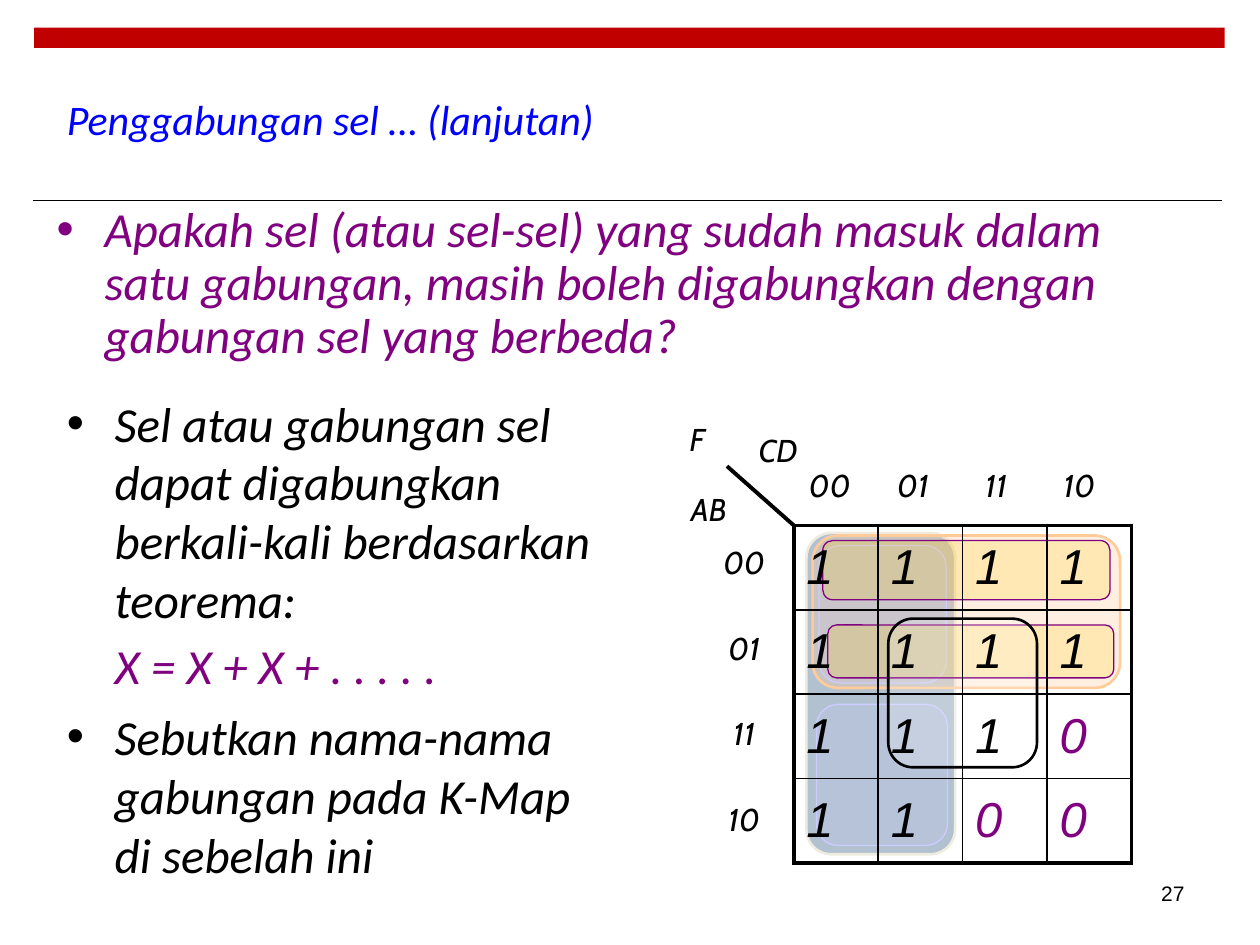
"""Build the slide on merging Karnaugh map cells."""
from lxml.etree import SubElement
from pptx import Presentation
from pptx.dml.color import RGBColor
from pptx.enum.shapes import MSO_CONNECTOR, MSO_SHAPE
from pptx.enum.text import MSO_ANCHOR, MSO_AUTO_SIZE, PP_ALIGN
from pptx.oxml import parse_xml
from pptx.oxml.ns import nsdecls, qn
from pptx.util import Inches, Pt

COLORS = {
    "black": "000000", "white": "FFFFFF", "red": "C00000", "blue": "0000FF",
    "purple": "800080", "navy": "003366", "cream": "EEECE1",
    "peach": "FFCC99", "lavender": "CCCCFF", "gold": "FFCC00",
}
TITLE = "Penggabungan sel … (lanjutan)"
QUESTION = [
    ("Apakah sel (atau sel-sel) yang sudah masuk dalam satu gabungan, masih boleh "
     "digabungkan dengan gabungan sel yang berbeda?", "purple", True, 0),
]
ANSWER = [
    ("Sel atau gabungan sel dapat digabungkan berkali-kali berdasarkan teorema:",
     "black", True, 0),
    ("X = X + X + . . . . .", "purple", False, 4),
    ("Sebutkan nama-nama gabungan pada K-Map di sebelah ini", "black", True, 7),
]
GRAY_CODE = ["00", "01", "11", "10"]
MAP_VALUES = ["1111", "1111", "1110", "1100"]
MAP_LEFT, MAP_TOP, CELL = 6.3, 4.17, 0.67
AXIS_NAMES = [("F", 5.31, 3.33), ("CD", 5.95, 3.42), ("AB", 5.4, 3.89)]
GROUPS = [
    ((6.4, 4.23, 1.18, 2.55), "navy", 30, "cream", 1.5),
    ((6.45, 4.25, 2.44, 1.21), "peach", 30, "peach", 1.5),
    ((6.48, 5.59, 1.04, 1.12), "lavender", 20, "lavender", 0.75),
    ((6.5, 4.33, 1.01, 1.09), "lavender", 20, "lavender", 0.75),
    ((6.57, 4.96, 2.27, 0.42), "gold", 20, "purple", 0.75),
    ((6.53, 4.29, 2.28, 0.47), "gold", 20, "purple", 0.75),
    ((7.05, 4.91, 1.18, 1.18), "white", 20, "black", 1.5),
]


def color(name):
    return RGBColor.from_string(COLORS[name])


def style(paragraph, size, font_name, color_name, italic=True):
    font = paragraph.font
    font.size, font.name, font.italic = Pt(size), font_name, italic
    font.color.rgb = color(color_name)


def place(shape, left, top, width, height):
    shape.left, shape.top = Inches(left), Inches(top)
    shape.width, shape.height = Inches(width), Inches(height)


def fill_list(placeholder, items, line_spacing):
    frame = placeholder.text_frame
    frame.auto_size = MSO_AUTO_SIZE.NONE
    for index, (text, color_name, bulleted, space) in enumerate(items):
        paragraph = frame.add_paragraph() if index else frame.paragraphs[0]
        paragraph.text = text
        paragraph.line_spacing = line_spacing
        paragraph.space_before = Pt(space)
        properties = paragraph._p.get_or_add_pPr()
        properties.set("marL", str(Inches(0.38)))
        properties.set("indent", str(Inches(-0.38 if bulleted else 0)))
        if bulleted:
            SubElement(properties, qn("a:buFont")).set("typeface", "Arial")
            SubElement(properties, qn("a:buChar")).set("char", "•")
        else:
            SubElement(properties, qn("a:buNone"))
        style(paragraph, 28, "Calibri", color_name)


def add_line(slide, start, end, width):
    line = slide.shapes.add_connector(
        MSO_CONNECTOR.STRAIGHT, *[Inches(value) for value in start + end])
    line.line.color.rgb = color("black")
    line.line.width = Pt(width)
    SubElement(line._element.spPr, qn("a:effectLst"))


def add_label(slide, text, left, top):
    box = slide.shapes.add_textbox(
        Inches(left), Inches(top), Inches(0.45), Inches(0.3))
    frame = box.text_frame
    frame.word_wrap = True
    frame.margin_left = frame.margin_right = frame.margin_top = frame.margin_bottom = 0
    paragraph = frame.paragraphs[0]
    paragraph.text = text
    paragraph.alignment = PP_ALIGN.CENTER
    style(paragraph, 18, "Cabin", "black")


def add_group(slide, position, fill_name, opacity, line_name, line_width):
    shape = slide.shapes.add_shape(
        MSO_SHAPE.ROUNDED_RECTANGLE, *[Inches(value) for value in position])
    shape.shadow.inherit = False
    shape.fill.solid()
    shape.fill.fore_color.rgb = color(fill_name)
    fill_color = shape._element.spPr.find(qn("a:solidFill"))[0]
    SubElement(fill_color, qn("a:alpha")).set("val", str(opacity * 1000))
    shape.line.color.rgb = color(line_name)
    shape.line.width = Pt(line_width)


def set_borders(cell, row, column, last):
    outer_sides = [("L", column == 0), ("R", column == last),
                   ("T", row == 0), ("B", row == last)]
    for index, (side, outer) in enumerate(outer_sides):
        width = Pt(2.25 if outer else 1)
        border = parse_xml(
            f'<a:ln{side} {nsdecls("a")} w="{width}"><a:solidFill>'
            f'<a:srgbClr val="{COLORS["black"]}"/></a:solidFill></a:ln{side}>')
        cell._tc.get_or_add_tcPr().insert(index, border)


def add_map(slide):
    count = len(GRAY_CODE)
    side = Inches(CELL * count)
    table = slide.shapes.add_table(
        count, count, Inches(MAP_LEFT), Inches(MAP_TOP), side, side).table
    table.first_row = table.horz_banding = False
    for row, values in enumerate(MAP_VALUES):
        table.rows[row].height = table.columns[row].width = Inches(CELL)
        for column, value in enumerate(values):
            cell = table.cell(row, column)
            cell.fill.background()
            cell.vertical_anchor = MSO_ANCHOR.MIDDLE
            cell.text = value
            style(cell.text_frame.paragraphs[0], 28, "Arial",
                  "black" if value == "1" else "purple")
            set_borders(cell, row, column, count - 1)


def main():
    presentation = Presentation()
    presentation.slide_width, presentation.slide_height = Inches(10), Inches(7.5)
    slide = presentation.slides.add_slide(presentation.slide_layouts[3])
    title, question, answer = list(slide.placeholders)[:3]

    bar = slide.shapes.add_shape(
        MSO_SHAPE.RECTANGLE, Inches(0.27), Inches(0.22), Inches(9.45), Inches(0.16))
    bar.shadow.inherit = False
    bar.fill.solid()
    bar.fill.fore_color.rgb = color("red")
    bar.line.fill.background()
    add_line(slide, (0.26, 1.59), (9.7, 1.59), 0.6)

    place(title, 0.43, 0.63, 9, 0.63)
    title.text_frame.text = TITLE
    title.text_frame.auto_size = MSO_AUTO_SIZE.NONE
    title.text_frame.vertical_anchor = MSO_ANCHOR.MIDDLE
    heading = title.text_frame.paragraphs[0]
    heading.alignment = PP_ALIGN.LEFT
    style(heading, 24, "Calibri", "blue")

    place(question, 0.35, 1.58, 9, 1.49)
    fill_list(question, QUESTION, 0.9)
    place(answer, 0.43, 3.07, 4.57, 4.1)
    fill_list(answer, ANSWER, 1.0)

    number = slide.shapes.add_textbox(
        Inches(7.17), Inches(6.83), Inches(2.33), Inches(0.52)).text_frame
    number.word_wrap = True
    number.vertical_anchor = MSO_ANCHOR.MIDDLE
    number.text = "27"
    number.paragraphs[0].alignment = PP_ALIGN.RIGHT
    style(number.paragraphs[0], 12, "Arial", "black", italic=False)

    for group in GROUPS:
        add_group(slide, *group)
    for index, code in enumerate(GRAY_CODE):
        add_label(slide, code, 6.36 + 0.66 * index, 3.7)
        add_label(slide, code, 5.68, 4.31 + 0.68 * index)
    for name in AXIS_NAMES:
        add_label(slide, *name)
    add_line(slide, (5.77, 3.7), (MAP_LEFT, MAP_TOP), 2.25)
    add_map(slide)
    presentation.save("out.pptx")


if __name__ == "__main__":
    main()
